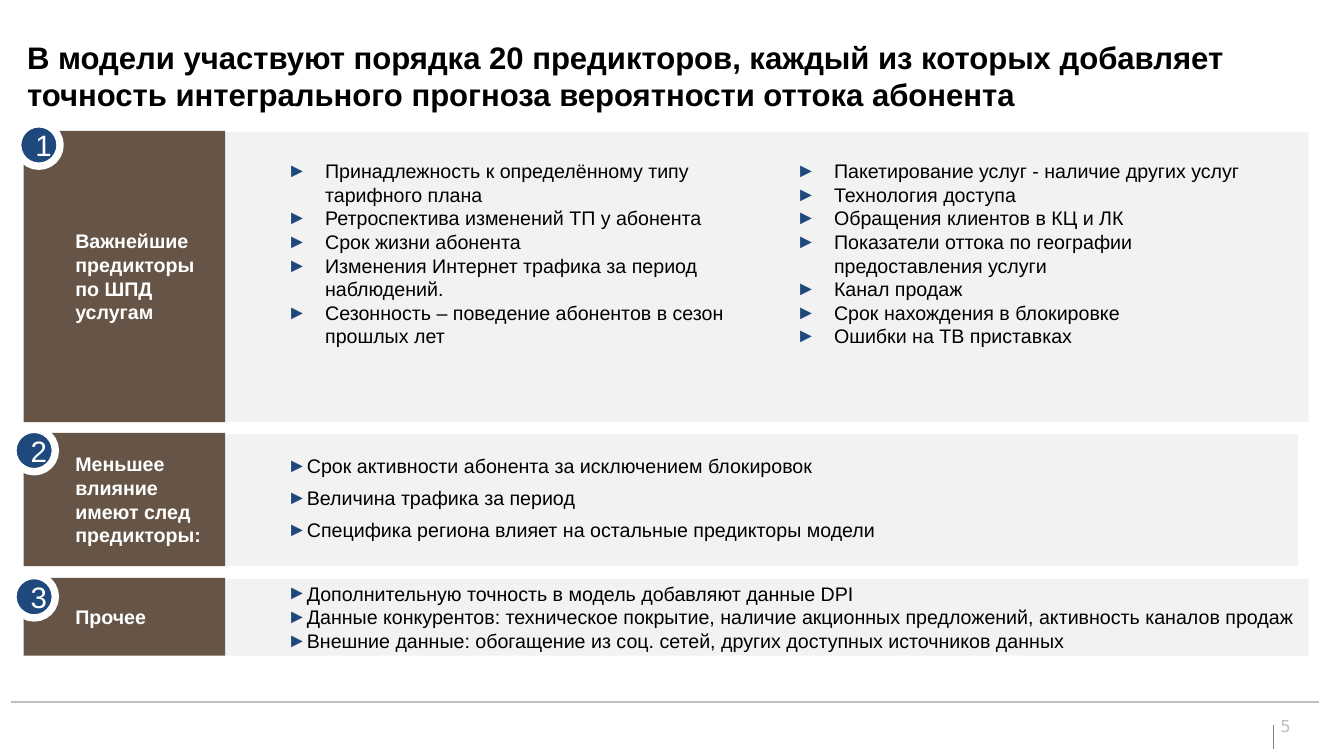
from lxml import etree
from pptx import Presentation
from pptx.dml.color import RGBColor
from pptx.enum.shapes import MSO_CONNECTOR, MSO_SHAPE
from pptx.enum.text import MSO_ANCHOR, MSO_AUTO_SIZE, PP_ALIGN
from pptx.oxml.ns import qn
from pptx.util import Inches, Pt

RECT, OVAL = MSO_SHAPE.RECTANGLE, MSO_SHAPE.OVAL
STRAIGHT = MSO_CONNECTOR.STRAIGHT
LEFT, CENTER = PP_ALIGN.LEFT, PP_ALIGN.CENTER
TOP, MIDDLE, BOTTOM = MSO_ANCHOR.TOP, MSO_ANCHOR.MIDDLE, MSO_ANCHOR.BOTTOM
FIXED = MSO_AUTO_SIZE.NONE

WIDE, HIGH = 11.4, 6.41
EDGE, SPLIT = 0.2, 1.91   # left sides of the label and body columns
BODY = 9.19               # width of the body column
BADGE = 0.36
BLUE, BROWN, PALE, GRAY = "1F497D", "665546", "F2F2F2", "BFBFBF"
WHITE, BLACK = "FFFFFF", "000000"

TITLE = ("В модели участвуют порядка 20 предикторов, каждый из которых добавляет "
         "точность интегрального прогноза вероятности оттока абонента")

# top, height, body left, badge place, label, list box, list format, list items
BANDS = [
    (1.11, 2.47, SPLIT, (0.15, 1.05),
     ["Важнейшие предикторы", "по ШПД услугам"],
     (SPLIT, 1.3, 8.83, 1.71), {"indent": 0.75, "hang": 0.32, "cols": 2},
     ["Принадлежность к определённому типу тарифного плана",
      "Ретроспектива изменений ТП у абонента",
      "Срок жизни абонента",
      "Изменения Интернет трафика за период наблюдений.",
      "Сезонность – поведение абонентов в сезон прошлых лет",
      "Пакетирование услуг - наличие других услуг",
      "Технология доступа",
      "Обращения клиентов в КЦ и ЛК",
      "Показатели оттока по географии предоставления услуги",
      "Канал продаж",
      "Срок нахождения в блокировке",
      "Ошибки на ТВ приставках"]),
    (3.67, 1.13, 1.82, (0.11, 3.64),
     ["Меньшее влияние имеют след предикторы:"],
     (SPLIT, 3.8, 8.75, 0.85), {"indent": 0.59, "hang": 0.16, "gap": 5.1},
     ["Срок активности абонента за исключением блокировок",
      "Величина трафика за период",
      "Специфика региона влияет на остальные предикторы модели"]),
    (4.9, 0.66, SPLIT, (0.11, 4.88),
     ["Прочее"],
     (SPLIT, 4.88, 9.24, 0.71), {"indent": 0.59, "hang": 0.16},
     ["Дополнительную точность в модель добавляют данные DPI",
      "Данные конкурентов: техническое покрытие, наличие акционных "
      "предложений, активность каналов продаж",
      "Внешние данные: обогащение из соц. сетей, других доступных "
      "источников данных"]),
]


def tint(code):
    return RGBColor.from_string(code)


def mark(para):
    """Give the paragraph a blue arrow bullet."""
    props = para._p.get_or_add_pPr()
    hue = etree.SubElement(props, qn("a:buClr"))
    etree.SubElement(hue, qn("a:srgbClr"), val=BLUE)
    etree.SubElement(props, qn("a:buFont"), typeface="Arial")
    etree.SubElement(props, qn("a:buChar"), char="►")


def write(shape, lines, size=12, color=BLACK, bold=False, font="Arial",
          align=LEFT, anchor=TOP, indent=0, hang=0, gap=0, cols=1, inset=None):
    frame = shape.text_frame
    frame.word_wrap = True
    frame.auto_size = FIXED
    frame.vertical_anchor = anchor
    if inset is not None:
        frame.margin_left = frame.margin_right = Inches(inset)
        frame.margin_top = frame.margin_bottom = Inches(inset)
    if cols > 1:
        frame._txBody.bodyPr.set("numCol", str(cols))
    for i, line in enumerate(lines):
        para = frame.add_paragraph() if i else frame.paragraphs[0]
        para.alignment = align
        para.space_before = Pt(gap)
        props = para._p.get_or_add_pPr()
        props.set("marL", str(Inches(indent)))
        props.set("indent", str(Inches(-hang)))
        if hang:
            para.level = 1
            mark(para)
        run = para.add_run()
        run.text = line
        run.font.size = Pt(size)
        run.font.name = font
        run.font.bold = bold
        run.font.color.rgb = tint(color)


def block(slide, kind, box, fill, edge=None):
    shape = slide.shapes.add_shape(kind, *map(Inches, box))
    shape.shadow.inherit = False
    shape.fill.solid()
    shape.fill.fore_color.rgb = tint(fill)
    if edge:
        shape.line.color.rgb = tint(edge)
        shape.line.width = Pt(4.5)
    else:
        shape.line.fill.background()
    return shape


def note(slide, box, lines, **form):
    write(slide.shapes.add_textbox(*map(Inches, box)), lines, **form)


def rule(slide, ends, color, width):
    line = slide.shapes.add_connector(STRAIGHT, *map(Inches, ends))
    line.line.color.rgb = tint(color)
    line.line.width = Pt(width)
    etree.SubElement(line._element.spPr, qn("a:effectLst"))


def head(slide):
    title = slide.shapes.title
    title.left, title.top = Inches(0.23), Inches(0.32)
    title.width, title.height = Inches(10.87), Inches(0.64)
    write(title, [TITLE], size=19, bold=True, anchor=BOTTOM, inset=0)


def band(slide, num, top, high, left, spot, label, box, form, items):
    block(slide, RECT, (left, top + 0.01, BODY, high - 0.01), PALE)
    side = block(slide, RECT, (EDGE, top, SPLIT - EDGE, high), BROWN)
    write(side, label, color=WHITE, bold=True, anchor=MIDDLE, indent=0.34)
    badge = block(slide, OVAL, (*spot, BADGE, BADGE), BLUE, WHITE)
    write(badge, [str(num)], size=18, color=WHITE, align=CENTER, anchor=MIDDLE)
    note(slide, box, items, **form)


def foot(slide):
    rule(slide, (10.8, 6.15, 10.8, 6.35), "7F7F7F", 0.75)
    rule(slide, (0.09, 5.95, 11.19, 5.95), GRAY, 1)
    note(slide, (10.86, 6.07, 0.43, 0.17), ["5"], size=10, color=GRAY,
         font="DejaVu Sans", inset=0)


def main():
    deck = Presentation()
    deck.slide_width, deck.slide_height = Inches(WIDE), Inches(HIGH)
    slide = deck.slides.add_slide(deck.slide_layouts[5])
    head(slide)
    foot(slide)
    for num, row in enumerate(BANDS, 1):
        band(slide, num, *row)
    deck.save("out.pptx")


if __name__ == "__main__":
    main()
